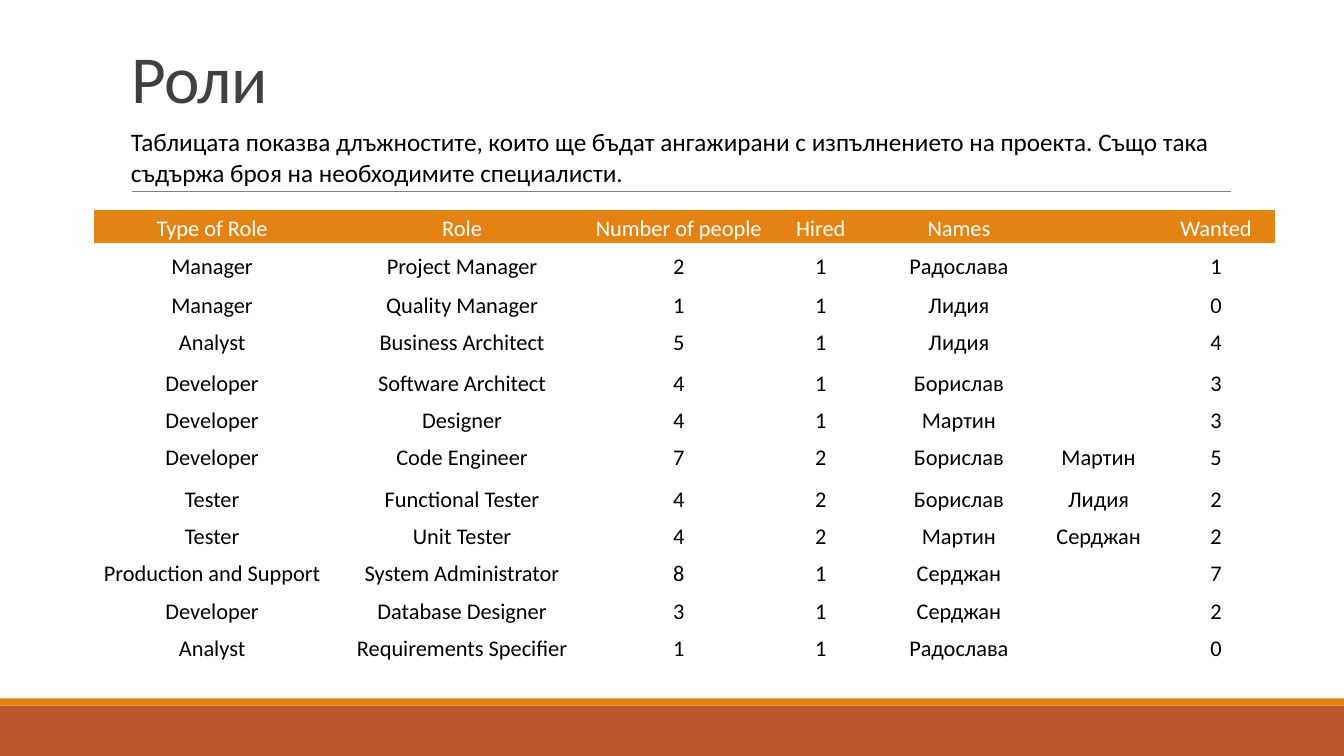
"""Build the project roles slide with its staffing table."""
import pptx
import pptx.util
import pptx.dml.color
import pptx.enum.shapes
import pptx.enum.text
from lxml import etree
from pptx.util import Cm, Pt

FONT = "Calibri"
COLORS = {"title": "404040", "text": "000000", "header_text": "FFFFFF",
          "orange": "E48312", "rust": "BD582C", "rule": "808080"}
TITLE = "Роли"
INTRO = ("Таблицата показва длъжностите, които ще бъдат ангажирани с изпълнението "
         "на проекта. Също така съдържа броя на необходимите специалисти.")
ROLES = [
    ("Type of Role", "Role", "Number of people", "Hired", "Names", "", "Wanted"),
    ("Manager", "Project Manager", "2", "1", "Радослава", "", "1"),
    ("Manager", "Quality Manager", "1", "1", "Лидия", "", "0"),
    ("Analyst", "Business Architect", "5", "1", "Лидия", "", "4"),
    ("Developer", "Software Architect", "4", "1", "Борислав", "", "3"),
    ("Developer", "Designer", "4", "1", "Мартин", "", "3"),
    ("Developer", "Code Engineer", "7", "2", "Борислав", "Мартин", "5"),
    ("Tester", "Functional Tester", "4", "2", "Борислав", "Лидия", "2"),
    ("Tester", "Unit Tester", "4", "2", "Мартин", "Серджан", "2"),
    ("Production and Support", "System Administrator", "8", "1", "Серджан", "", "7"),
    ("Developer", "Database Designer", "3", "1", "Серджан", "", "2"),
    ("Analyst", "Requirements Specifier", "1", "1", "Радослава", "", "0"),
]
COLUMN_WIDTHS = [5.97, 6.63, 4.29, 2.87, 4.09, 2.95, 2.97]
ROW_HEIGHT = 0.94
SPECIAL_HEIGHTS = {0: 0.84, 2: 0.99, 4: 1.02, 7: 1.04}
BANDS = [("rust", 17.78, 1.27), ("orange", 17.6, 0.18)]
SLIDE_WIDTH, SLIDE_HEIGHT = 33.87, 19.05
NO_STYLE_NO_GRID = "{2D5ABB26-0587-4C30-8999-92F81FD0307C}"


def color(key):
    return pptx.dml.color.RGBColor.from_string(COLORS[key])


def add_run(paragraph, text, size, key):
    run = paragraph.add_run()
    run.text = text
    run.font.name = FONT
    run.font.size = Pt(size)
    run.font.color.rgb = color(key)
    return run


presentation = pptx.Presentation()
presentation.slide_width, presentation.slide_height = Cm(SLIDE_WIDTH), Cm(SLIDE_HEIGHT)
slide = presentation.slides.add_slide(presentation.slide_layouts[5])

for key, top, height in BANDS:
    band = slide.shapes.add_shape(pptx.enum.shapes.MSO_SHAPE.RECTANGLE,
                                  0, Cm(top), Cm(SLIDE_WIDTH), Cm(height))
    band.shadow.inherit = False
    band.fill.solid()
    band.fill.fore_color.rgb = color(key)
    band.line.fill.background()

rule = slide.shapes.add_connector(pptx.enum.shapes.MSO_CONNECTOR.STRAIGHT,
                                  Cm(3.33), Cm(4.83), Cm(31.01), Cm(4.83))
rule.line.color.rgb = color("rule")
rule.line.width = Pt(0.5)
etree.SubElement(rule._element.spPr, pptx.oxml.ns.qn("a:effectLst"))

title = slide.shapes.title
title.left, title.top, title.width, title.height = Cm(3.05), Cm(0.79), Cm(27.94), Cm(2.29)
title.text_frame.vertical_anchor = pptx.enum.text.MSO_ANCHOR.BOTTOM
title.text_frame.auto_size = pptx.enum.text.MSO_AUTO_SIZE.NONE
heading = title.text_frame.paragraphs[0]
heading.alignment = pptx.enum.text.PP_ALIGN.LEFT
heading.line_spacing = 0.85
add_run(heading, TITLE, 48, "title").font._element.set("spc", "-50")

staffing_frame = slide.shapes.add_table(
    len(ROLES), len(COLUMN_WIDTHS), Cm(2.36), Cm(5.28), Cm(29.77), Cm(11.4))
staffing = staffing_frame.table
staffing.first_row = staffing.horz_banding = False
staffing._tbl.tblPr.find(pptx.oxml.ns.qn("a:tableStyleId")).text = NO_STYLE_NO_GRID
for column, width in zip(staffing.columns, COLUMN_WIDTHS):
    column.width = Cm(width)
for row_index, role in enumerate(ROLES):
    staffing.rows[row_index].height = Cm(SPECIAL_HEIGHTS.get(row_index, ROW_HEIGHT))
    for column_index, value in enumerate(role):
        cell = staffing.cell(row_index, column_index)
        cell.margin_left = cell.margin_right = cell.margin_top = Cm(0.02)
        cell.margin_bottom = 0
        cell.vertical_anchor = pptx.enum.text.MSO_ANCHOR.BOTTOM
        if row_index == 0:
            cell.fill.solid()
            cell.fill.fore_color.rgb = color("orange")
        else:
            cell.fill.background()
        entry = cell.text_frame.paragraphs[0]
        entry.alignment = pptx.enum.text.PP_ALIGN.CENTER
        add_run(entry, value, 16, "text" if row_index else "header_text")

intro = slide.shapes.add_textbox(Cm(3.05), Cm(3.07), Cm(27.94), Cm(1.8))
intro.text_frame.word_wrap = True
intro.text_frame.auto_size = pptx.enum.text.MSO_AUTO_SIZE.SHAPE_TO_FIT_TEXT
add_run(intro.text_frame.paragraphs[0], INTRO, 18, "text")

presentation.save("out.pptx")
